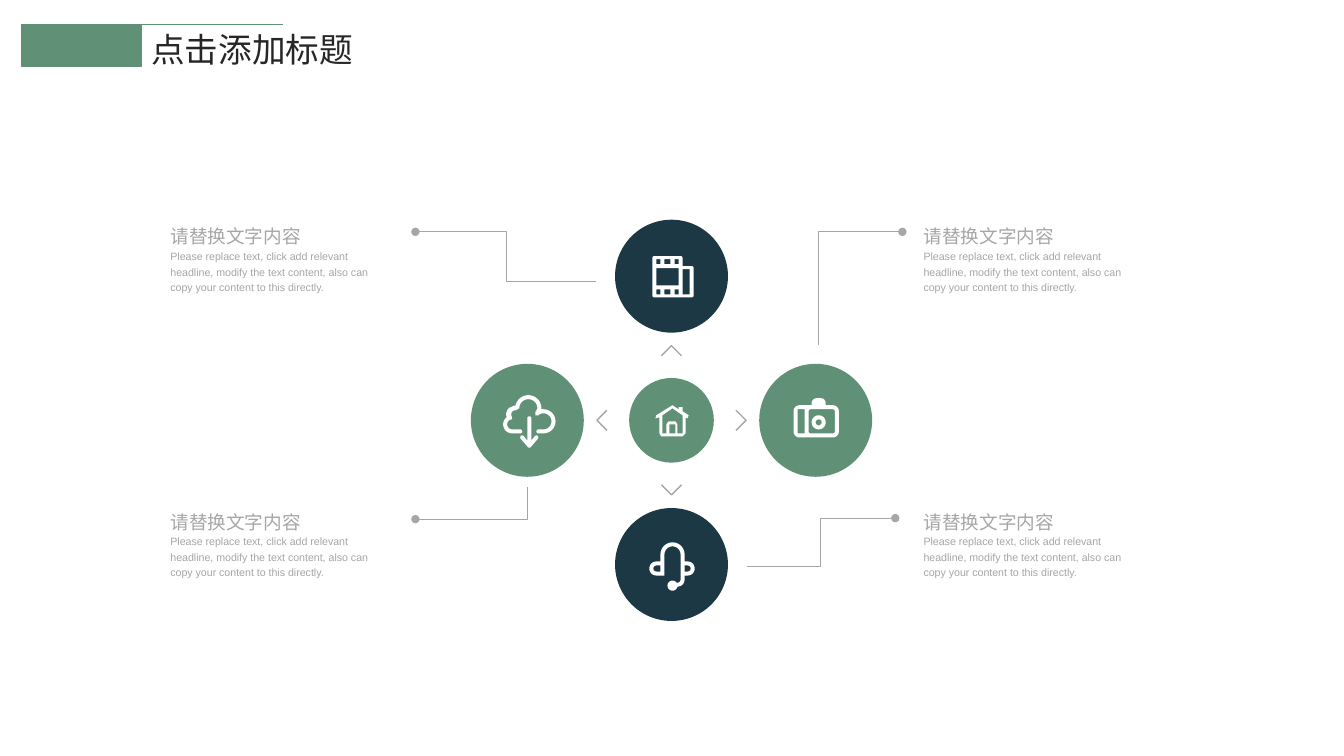
import math
import pptx
import pptx.util
import pptx.dml.color
import pptx.enum.shapes
import pptx.enum.text
import pptx.oxml.ns
from lxml import etree

PX = 9144  # EMU; 100 px to the inch
GREEN, NAVY, GREY, WHITE, INK = "609177", "1C3844", "A6A6A6", "FFFFFF", "262626"
SHAPE = pptx.enum.shapes.MSO_SHAPE
HEAD = "请替换文字内容"
BODY = ("Please replace text, click add relevant headline, modify the text "
        "content, also can copy your content to this directly.")


def px(n):
    return pptx.util.Emu(round(n * PX))


def color(code):
    return pptx.dml.color.RGBColor.from_string(code)


def rect(x0, y0, x1, y1):
    return [(x0, y0), (x1, y0), (x1, y1), (x0, y1)]


def rounded(x0, y0, x1, y1, r):
    return [(x0 + r, y0 + r, r, 180, 270), (x1 - r, y0 + r, r, 270, 360),
            (x1 - r, y1 - r, r, 0, 90), (x0 + r, y1 - r, r, 90, 180)]


# Glyphs are drawn around the middle of their disc. Each is a list of shapes,
# a shape is a list of loops, and a loop mixes points (x, y) with
# arcs (x, y, radius, start angle, end angle).
FILM = [[
    [(-17, -18, 2, 180, 270), (9, -18, 2, 270, 360), (11, -10),
     (20, -8, 2, 270, 360), (20, 19, 2, 0, 90), (-17, 19, 2, 90, 180)],
    rect(-15, -8, 7, 9), rect(11, -7, 18, 18),
    *[rect(x0, y, x1, y + 5) for y in (-17, 13)
      for x0, x1 in ((-15, -11), (-7, -1), (3, 7))],
]]
CAMERA = [
    [[(-16, -9, 6, 180, 270), (-4, -15), (1, -17, 5, 180, 270),
      (5, -17, 5, 270, 360), (10, -15), (17, -9, 6, 270, 360),
      (17, 11, 6, 0, 90), (-16, 11, 6, 90, 180)],
     rect(-18, -11, -11, 13), rounded(-7, -11, 19, 13, 2)],
    [[(3, 2, 7, 0, 360)], [(3, 2, 3, 0, 360)]],
]
HEADSET = [[
    [(1, -10, 12, 0, -180), (-11, -3), (-15, 4, 7, 270, 90), (-7, 11),
     (1, -10, 8, 180, 360), (6, 15, 3, 0, 90), (1, 21, 5, -30, -340),
     (6, 15, 7, 90, 0), (13, 11), (16, 4, 7, 90, -90), (13, -3)],
    [(-11, 7), (-15, 4, 3, 90, 270), (-11, 1)],
    [(13, 7), (16, 4, 3, 90, -90), (13, 1)],
]]
CLOUD = [
    [[(11, 13), (16, 1, 12, 90, -90), (14, -11), (1, -12, 13, 0, -167),
      (-13, -6, 8, -112, -202), (-15, 4, 9, 240, 90), (-7, 11, 2, 90, -90),
      (-15, 4, 5, 90, 270), (-12, -6, 4, 150, 270), (-11, -10),
      (1, -12, 9, 180, 360), (8, -8), (8, -5), (11, -5),
      (16, 1, 8, 225, 450), (11, 11, 2, 270, 90)]],
    [[(0, 20), (2, -2, 2, 180, 360), (4, 20), (9, 17, 2, 225, 405),
      (3, 27), (1, 27), (-5, 17, 2, 135, 315)]],
]
HOUSE = [[
    [(17, -5), (11, -9), (11, -13), (7, -13), (7, -11), (1, -15), (-15, -5),
     (-16, -2), (-12, -3), (-12, 13), (-10, 16), (11, 16), (14, 13),
     (14, -3), (16, -2)],
    rect(-2, 4, 4, 13),
    [(11, 13), (6, 13), (6, 4), (4, 1), (-3, 1), (-5, 4), (-5, 13),
     (-9, 13), (-9, -5), (1, -12), (11, -5)],
]]
LEADERS = [
    [(-75, -138), (-164, -138), (-164, -187), (-254, -187)],
    [(146, -75), (146, -187), (229, -187)],
    [(75, 145), (148, 145), (148, 97), (222, 97)],
    [(-143, 66), (-143, 98), (-254, 98)],
]


def trace(loop):
    """Turn the arcs of a loop into points."""
    pts = []
    for item in loop:
        if len(item) == 2:
            pts.append(item)
            continue
        x, y, r, start, end = item
        count = math.ceil(abs(end - start) / 15)
        for i in range(count + 1):
            a = math.radians(start + (end - start) * i / count)
            pts.append((x + r * math.cos(a), y + r * math.sin(a)))
    return pts


def outline(slide, cx, cy, loops, close):
    loops = [[(px(cx + x), px(cy + y)) for x, y in trace(loop)] for loop in loops]
    pen = slide.shapes.build_freeform(*loops[0][0], scale=1.0)
    for i, loop in enumerate(loops):
        if i:
            pen.move_to(*loop[0])
        pen.add_line_segments(loop[1:], close=close)
    shape = pen.convert_to_shape()
    shape.shadow.inherit = False
    return shape


def paint(shape, code):
    shape.shadow.inherit = False
    shape.fill.solid()
    shape.fill.fore_color.rgb = color(code)
    shape.line.fill.background()


def stroke(slide, cx, cy, pts, width, dot=False):
    shape = outline(slide, cx, cy, [pts], False)
    shape.fill.background()
    shape.line.color.rgb = color(GREY)
    shape.line.width = pptx.util.Pt(width)
    if dot:
        tail = etree.SubElement(shape.line._get_or_add_ln(), pptx.oxml.ns.qn("a:tailEnd"))
        tail.set("type", "oval")


def disc(slide, cx, cy, size, code, glyph):
    shape = slide.shapes.add_shape(
        SHAPE.OVAL, px(cx - size / 2), px(cy - size / 2), px(size), px(size))
    paint(shape, code)
    for loops in glyph:
        paint(outline(slide, cx, cy, loops, True), WHITE)


def wheel(slide, cx, cy):
    """Place the centre disc, four discs around it, chevrons and leaders."""
    disc(slide, cx, cy, 84, GREEN, HOUSE)
    arms = [(0, -1, NAVY, FILM), (1, 0, GREEN, CAMERA),
            (0, 1, NAVY, HEADSET), (-1, 0, GREEN, CLOUD)]
    for dx, dy, code, glyph in arms:
        disc(slide, cx + 143 * dx, cy + 143 * dy, 112, code, glyph)
        tip = [(64 * dx - 10 * dy, 64 * dy + 10 * dx), (74 * dx, 74 * dy),
               (64 * dx + 10 * dy, 64 * dy - 10 * dx)]
        stroke(slide, cx, cy, tip, 1)
    for pts in LEADERS:
        stroke(slide, cx, cy, pts, 0.75, dot=True)


def style(par, size, name, code):
    for run in par.runs:
        run.font.size = pptx.util.Pt(size)
        run.font.name = name
        run.font.color.rgb = color(code)
        east = etree.SubElement(run.font._element, pptx.oxml.ns.qn("a:ea"))
        east.set("typeface", "Noto Sans CJK SC")


def caption(slide, x, y, w, h):
    frame = slide.shapes.add_textbox(px(x), px(y), px(w), px(h)).text_frame
    frame.word_wrap = True
    frame.margin_left = frame.margin_right = 0
    frame.margin_top = frame.margin_bottom = 0
    frame.text = HEAD + "\n" + BODY
    for par, size in zip(frame.paragraphs, (13.3, 7.6)):
        par.line_spacing = 1.2
        style(par, size, "Arial", GREY)


def header(slide, x, y):
    rule = slide.shapes.add_connector(
        pptx.enum.shapes.MSO_CONNECTOR.STRAIGHT, px(x), px(y), px(x + 259), px(y))
    rule.line.color.rgb = color(GREEN)
    rule.line.width = pptx.util.Pt(0.5)
    etree.SubElement(rule._element.spPr, pptx.oxml.ns.qn("a:effectLst"))
    bar = slide.shapes.add_shape(SHAPE.RECTANGLE, px(x), px(y), px(118), px(42))
    paint(bar, GREEN)
    bar.line.color.rgb = color(GREEN)
    bar.line.width = pptx.util.Pt(1)
    title = slide.shapes.title
    title.left, title.top, title.width, title.height = px(x + 118), px(y), px(238), px(50)
    frame = title.text_frame
    frame.text = "点击添加标题"
    frame.word_wrap = True
    frame.vertical_anchor = pptx.enum.text.MSO_ANCHOR.TOP
    frame.auto_size = pptx.enum.text.MSO_AUTO_SIZE.SHAPE_TO_FIT_TEXT
    frame.paragraphs[0].alignment = pptx.enum.text.PP_ALIGN.LEFT
    style(frame.paragraphs[0], 24, "Noto Sans CJK SC", INK)


def main():
    deck = pptx.Presentation()
    deck.slide_width, deck.slide_height = px(1333), px(750)
    slide = deck.slides.add_slide(deck.slide_layouts[5])
    header(slide, 22, 24)
    wheel(slide, 666, 417)
    for x in (169, 916):
        for y in (219, 502):
            caption(slide, x, y, 221, 73)
    deck.save("out.pptx")


if __name__ == "__main__":
    main()
